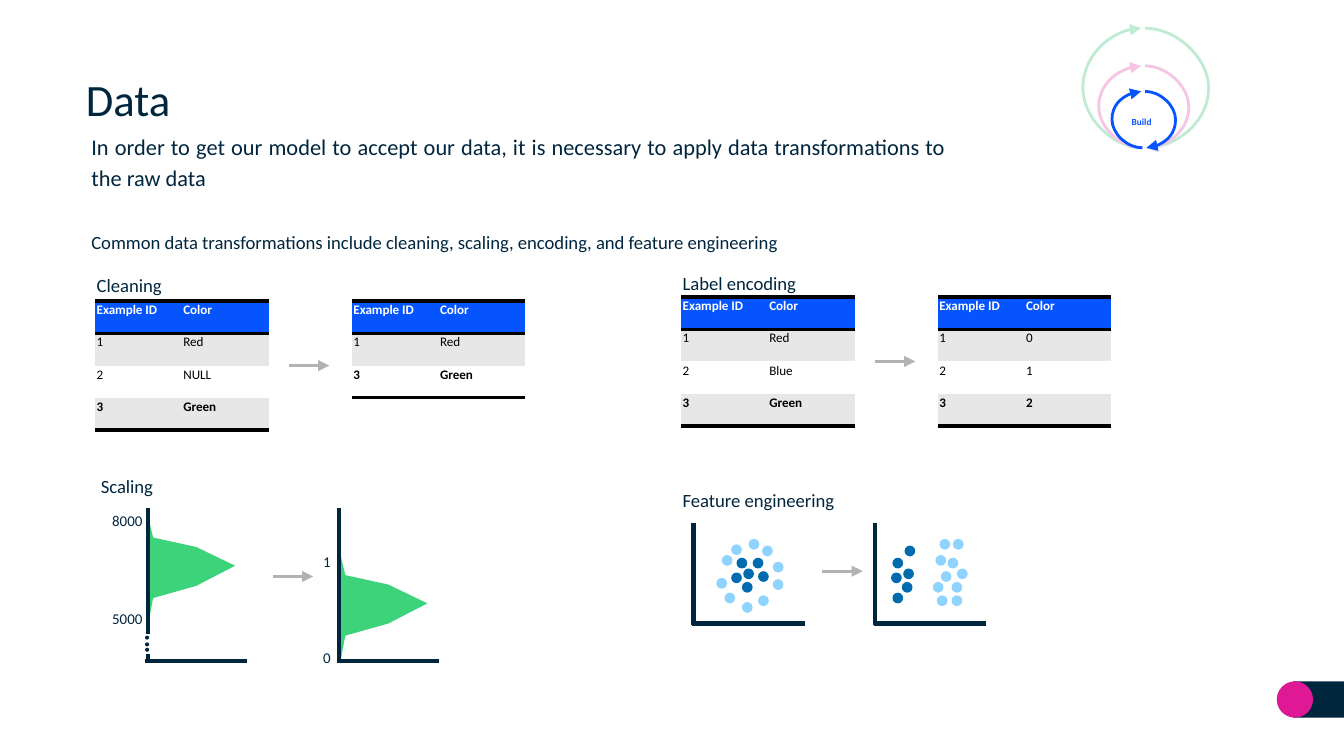
from lxml import etree
from pptx import Presentation
from pptx.dml.color import RGBColor
from pptx.enum.shapes import MSO_CONNECTOR, MSO_SHAPE
from pptx.enum.text import MSO_ANCHOR, PP_ALIGN
from pptx.oxml.ns import qn
from pptx.util import Inches, Pt

STRAIGHT, CURVE = MSO_CONNECTOR.STRAIGHT, MSO_CONNECTOR.CURVE
OVAL, RECT = MSO_SHAPE.OVAL, MSO_SHAPE.RECTANGLE
LEFT, CENTER, RIGHT, JUSTIFY = PP_ALIGN.LEFT, PP_ALIGN.CENTER, PP_ALIGN.RIGHT, PP_ALIGN.JUSTIFY
TOP, MIDDLE = MSO_ANCHOR.TOP, MSO_ANCHOR.MIDDLE

NAVY = RGBColor(0x00, 0x26, 0x3E)
BLUE = RGBColor(0x06, 0x54, 0xFE)
PINK = RGBColor(0xDF, 0x19, 0x95)
RING_GREEN = RGBColor(0x00, 0xB0, 0x50)
CURVE_GREEN = RGBColor(0x3D, 0xD3, 0x7A)
SKY = RGBColor(0x8F, 0xD4, 0xFF)
DEEP = RGBColor(0x00, 0x6B, 0xAE)
ARROW_GRAY = RGBColor(0xB2, 0xB2, 0xB2)
BAND_GRAY = RGBColor(0xE7, 0xE7, 0xE7)
BLACK = RGBColor(0, 0, 0)
WHITE = RGBColor(0xFF, 0xFF, 0xFF)
FONT = "Calibri"
PLAIN_TABLE = "{2D5ABB26-0587-4C30-8999-92F81FD0307C}"


class SlideBuilder:
    def __init__(self, slide):
        self.slide = slide
        self.shapes = slide.shapes

    def style_run(self, paragraph, size, color, bold=False):
        font = paragraph.runs[0].font
        font.name, font.size, font.bold = FONT, Pt(size), bold
        font.color.rgb = color

    def text(self, x, y, w, h, words, size=10, color=NAVY, align=LEFT, bold=False,
             inset=0.01, anchor=TOP, spacing=1.15):
        frame = self.shapes.add_textbox(Inches(x), Inches(y), Inches(w), Inches(h)).text_frame
        frame.word_wrap = True
        frame.vertical_anchor = anchor
        frame.margin_left = frame.margin_right = Inches(inset)
        frame.margin_top = frame.margin_bottom = Inches(inset)
        frame.text = words
        paragraph = frame.paragraphs[0]
        paragraph.alignment, paragraph.line_spacing = align, spacing
        self.style_run(paragraph, size, color, bold)

    def paint(self, shape, color):
        shape.shadow.inherit = False
        shape.fill.solid()
        shape.fill.fore_color.rgb = color
        shape.line.fill.background()
        return shape

    def shape(self, kind, x, y, w, h, color):
        return self.paint(
            self.shapes.add_shape(kind, Inches(x), Inches(y), Inches(w), Inches(h)), color)

    def dots(self, places, color, size=0.08):
        for x, y in places:
            self.shape(OVAL, x, y, size, size, color)

    def polygon(self, points):
        (x, y), *rest = [(Inches(px), Inches(py)) for px, py in points]
        outline = self.shapes.build_freeform(x, y)
        outline.add_line_segments(rest, close=True)
        self.paint(outline.convert_to_shape(), CURVE_GREEN)

    def line(self, x1, y1, x2, y2, color=NAVY, width=2.25, arrow=False, kind=STRAIGHT):
        line = self.shapes.add_connector(kind, Inches(x1), Inches(y1), Inches(x2), Inches(y2))
        line.line.color.rgb = color
        line.line.width = Pt(width)
        if arrow:
            etree.SubElement(line.line._get_or_add_ln(), qn("a:tailEnd"), type="triangle")
        etree.SubElement(line._element.spPr, qn("a:effectLst"))
        return line

    def arrow(self, x, y):
        self.line(x, y, x + 0.3, y, ARROW_GRAY, 1.5, arrow=True)

    def axes(self, x, top, bottom, width):
        self.line(x, top, x, bottom + 0.01)
        self.line(x + width, bottom, x - 0.01, bottom)

    def ring(self, top, left_reach, right_reach, color):
        """Two clockwise half circles; reach is how far each one bulges."""
        gap = 0.01
        for x, reach, turn in ((8.49, left_reach, 180), (8.52, right_reach, 0)):
            half = self.line(x, top, x + gap, 1.1, color, 1.5, arrow=True, kind=CURVE)
            properties = half._element.spPr
            properties.xfrm.rot = turn
            guides = properties.find(qn("a:prstGeom")).find(qn("a:avLst"))
            etree.SubElement(guides, qn("a:gd"), name="adj1",
                             fmla=f"val {round(reach / gap * 100000)}")

    def rule_cell(self, cell, sides):
        for side in sides:
            ln = etree.Element(qn(f"a:ln{side}"), w=str(Pt(2)))
            fill = etree.SubElement(ln, qn("a:solidFill"))
            etree.SubElement(fill, qn("a:srgbClr"), val=str(BLACK))
            cell._tc.get_or_add_tcPr().insert(0, ln)

    def table(self, x, y, records):
        rows = [("Example ID", "Color")] + records
        last = len(rows) - 1
        frame = self.shapes.add_table(len(rows), 2, Inches(x), Inches(y),
                                      Inches(1.29), Inches(0.24 * len(rows)))
        table = frame.table
        table._tbl.tblPr.find(qn("a:tableStyleId")).text = PLAIN_TABLE
        for r, row in enumerate(rows):
            table.rows[r].height = Inches(0.24)
            for c, value in enumerate(row):
                cell = table.cell(r, c)
                cell.margin_left = cell.margin_right = Inches(0.01)
                cell.margin_top = cell.margin_bottom = Inches(0.01)
                cell.text = value
                self.style_run(cell.text_frame.paragraphs[0], 7,
                               WHITE if r == 0 else BLACK, r in (0, last))
                cell.fill.solid()
                cell.fill.fore_color.rgb = BLUE if r == 0 else BAND_GRAY if r % 2 else WHITE
                self.rule_cell(cell, {0: "BT", last: "B"}.get(r, ""))


def draw_build_cycle(page):
    page.ring(0.21, 0.45, 0.48, RING_GREEN)
    page.ring(0.49, 0.33, 0.33, PINK)
    veil = page.shape(OVAL, 8.02, 0.15, 1, 1, WHITE)
    veil_color = veil._element.spPr.find(qn("a:solidFill"))[0]
    etree.SubElement(veil_color, qn("a:alpha"), val="75000")
    page.ring(0.68, 0.23, 0.23, BLUE)
    page.text(8.13, 0.84, 0.73, 0.12, "Build", 5, BLUE, CENTER, bold=True)


def draw_tables(page):
    page.text(0.71, 2, 1.44, 0.21, "Cleaning")
    page.table(0.71, 2.24, [("1", "Red"), ("2", "NULL"), ("3", "Green")])
    page.arrow(2.15, 2.72)
    page.table(2.62, 2.24, [("1", "Red"), ("3", "Green")])

    page.text(5.07, 1.99, 1.44, 0.21, "Label encoding")
    page.table(5.07, 2.21, [("1", "Red"), ("2", "Blue"), ("3", "Green")])
    page.arrow(6.51, 2.69)
    page.table(6.98, 2.21, [("1", "0"), ("2", "1"), ("3", "2")])


def draw_scaling(page):
    page.text(0.74, 3.5, 1.15, 0.21, "Scaling")
    distribution = [(0, 0), (0.05, 0.21), (0.37, 0.28), (0.66, 0.42),
                    (0.37, 0.57), (0.05, 0.66), (0.01, 0.87)]
    for x, y in ((1.09, 3.79), (2.52, 4.07)):
        page.polygon([(x + dx, y + dy) for dx, dy in distribution])
    page.line(1.1, 3.78, 1.1, 4.72)
    page.line(1.84, 4.92, 1.08, 4.92)
    page.line(1.1, 4.87, 1.1, 4.92)
    page.dots([(1.08, 4.73), (1.08, 4.78), (1.08, 4.82)], NAVY, 0.03)
    page.arrow(2.03, 4.29)
    page.axes(2.52, 3.78, 4.92, 0.75)
    for x, y, w, label in ((0.72, 3.78, 0.35, "8000"), (0.72, 4.51, 0.35, "5000"),
                           (2.34, 4.08, 0.13, "1"), (2.34, 4.8, 0.13, "0")):
        page.text(x, y, w, 0.17, label, 8, align=RIGHT)


def draw_feature_engineering(page):
    page.text(5.07, 3.6, 1.86, 0.21, "Feature engineering")
    for x in (5.16, 6.51):
        page.axes(x, 3.89, 4.64, 0.83)
    page.arrow(6.12, 4.25)
    page.dots([(5.44, 4.05), (5.37, 4.13), (5.75, 4.18), (5.57, 4.01), (5.67, 4.06), (5.39, 4.41),
               (5.64, 4.43), (5.52, 4.48), (5.33, 4.3), (5.75, 4.31)], SKY)
    page.dots([(5.48, 4.15), (5.6, 4.15), (5.44, 4.26), (5.64, 4.25), (5.53, 4.23),
               (5.52, 4.33)], DEEP)
    page.dots([(6.96, 4.13), (7.08, 4.43), (7.05, 4.15), (6.99, 4.01), (7.09, 4.01), (7.12, 4.23),
               (6.94, 4.33), (6.97, 4.43), (7.08, 4.33), (7, 4.25)], SKY)
    page.dots([(6.64, 4.15), (6.73, 4.06), (6.63, 4.26), (6.64, 4.41), (6.72, 4.23),
               (6.71, 4.33)], DEEP)


def main():
    deck = Presentation()
    deck.slide_width = Inches(10)
    deck.slide_height = deck.slide_width * 9 // 16
    page = SlideBuilder(deck.slides.add_slide(deck.slide_layouts[6]))
    page.shape(RECT, 9.62, 5.07, 0.38, 0.27, NAVY)
    page.shape(OVAL, 9.5, 5.07, 0.27, 0.27, PINK)
    page.text(0.54, 0.46, 8.95, 0.55, "Data", 24, inset=0.1, anchor=MIDDLE, spacing=1)
    draw_build_cycle(page)
    page.text(0.67, 0.95, 6.38, 0.48,
              "In order to get our model to accept our data, it is necessary to apply "
              "data transformations to the raw data", 12, align=JUSTIFY)
    page.text(0.67, 1.68, 6.67, 0.21,
              "Common data transformations include cleaning, scaling, encoding, "
              "and feature engineering")
    draw_tables(page)
    draw_scaling(page)
    draw_feature_engineering(page)
    deck.save("out.pptx")


if __name__ == "__main__":
    main()
